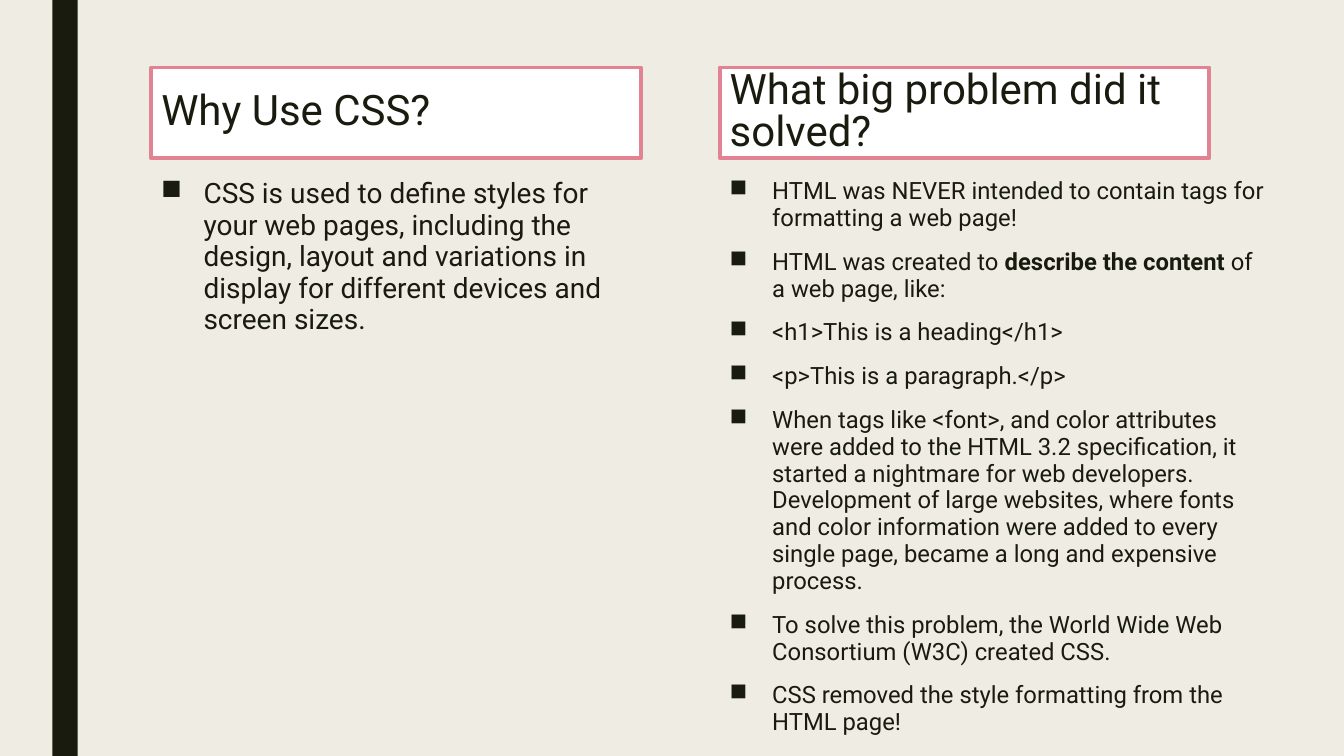
"""Build a two-column slide on why CSS is used and which problem it solved."""
from lxml.etree import SubElement
from pptx import Presentation
from pptx.dml.color import RGBColor
from pptx.enum.shapes import MSO_SHAPE as Shape
from pptx.enum.text import MSO_ANCHOR as Anchor, MSO_AUTO_SIZE as AutoSize, PP_ALIGN as Align
from pptx.oxml.ns import qn
from pptx.util import Cm, Pt

FONT = "Roboto"
COLORS = {"paper": "EFEDE3", "ink": "191B0E", "white": "FFFFFF", "pink": "E28394"}
HEADINGS = ["Why Use CSS?", "What big problem did it solved?"]
REASONS = [
    [("CSS is used to define styles for your web pages, including the design, "
      "layout and variations in display for different devices and screen sizes.", False)],
]
PROBLEMS = [
    [("HTML was NEVER intended to contain tags for formatting a web page!", False)],
    [("HTML was created to ", False), ("describe the content", True),
     (" of a web page, like:", False)],
    [("<h1>This is a heading</h1>", False)],
    [("<p>This is a paragraph.</p>", False)],
    [("When tags like <font>, and color attributes were added to the HTML 3.2 "
      "specification, it started a nightmare for web developers. Development of large "
      "websites, where fonts and color information were added to every single page, "
      "became a long and expensive process.", False)],
    [("To solve this problem, the World Wide Web Consortium (W3C) created CSS.", False)],
    [("CSS removed the style formatting from the HTML page!", False)],
]
COLUMN_LEFT, COLUMN_STEP = 3.81, 14.33
HEADING_TOP, HEADING_WIDTH, HEADING_HEIGHT = 1.7, 12.34, 2.29
LIST_TOP, INDENT = 4.37, 1.07
LISTS = [(REASONS, 20, 12.34, 7.11), (PROBLEMS, 17, 14.05, 14.05)]


def color(name):
    return RGBColor.from_string(COLORS[name])


def style_span(span, size, bold=False):
    span.font.name = FONT
    span.font.size = Pt(size)
    span.font.bold = bold
    span.font.color.rgb = color("ink")


def place(box, left, top, width, height):
    box.left, box.top, box.width, box.height = Cm(left), Cm(top), Cm(width), Cm(height)


def format_heading(box, text, left):
    place(box, left, HEADING_TOP, HEADING_WIDTH, HEADING_HEIGHT)
    box.fill.solid()
    box.fill.fore_color.rgb = color("white")
    box.line.color.rgb = color("pink")
    box.line.width = Pt(2.75)
    frame = box.text_frame
    frame.text = text
    frame.word_wrap = True
    frame.auto_size = AutoSize.NONE
    frame.vertical_anchor = Anchor.MIDDLE
    para = frame.paragraphs[0]
    para.alignment = Align.LEFT
    para.line_spacing = 0.84
    para.space_before = Pt(0)
    style_span(para.runs[0], 30)


def add_bullet(para):
    properties = para._p.get_or_add_pPr()
    properties.set("marL", str(Cm(INDENT)))
    properties.set("indent", str(-Cm(INDENT)))
    SubElement(properties, qn("a:buChar")).set("char", "■")


def add_list(slide, items, size, left, width, height):
    box = slide.shapes.add_textbox(Cm(left), Cm(LIST_TOP), Cm(width), Cm(height))
    frame = box.text_frame
    frame.word_wrap = True
    for index, item in enumerate(items):
        para = frame.add_paragraph() if index else frame.paragraphs[0]
        para.line_spacing = 0.94
        para.space_before, para.space_after = Pt(10), Pt(2)
        add_bullet(para)
        for text, bold in item:
            span = para.add_run()
            span.text = text
            style_span(span, size, bold)


def main():
    deck = Presentation()
    deck.slide_width, deck.slide_height = Cm(33.87), Cm(19.05)
    slide = deck.slides.add_slide(deck.slide_layouts[5])
    slide.background.fill.solid()
    slide.background.fill.fore_color.rgb = color("paper")

    stripe = slide.shapes.add_shape(Shape.RECTANGLE, Cm(1.32), 0, Cm(0.64), deck.slide_height)
    stripe.shadow.inherit = False
    stripe.fill.solid()
    stripe.fill.fore_color.rgb = color("ink")
    stripe.line.fill.background()

    second_heading = slide.shapes.add_shape(Shape.RECTANGLE, 0, 0, 0, 0)
    second_heading.shadow.inherit = False
    heading_boxes = [slide.shapes.title, second_heading]
    for column, (box, heading) in enumerate(zip(heading_boxes, HEADINGS)):
        left = COLUMN_LEFT + column * COLUMN_STEP
        format_heading(box, heading, left)
        items, size, width, height = LISTS[column]
        add_list(slide, items, size, left, width, height)

    deck.save("out.pptx")


if __name__ == "__main__":
    main()
